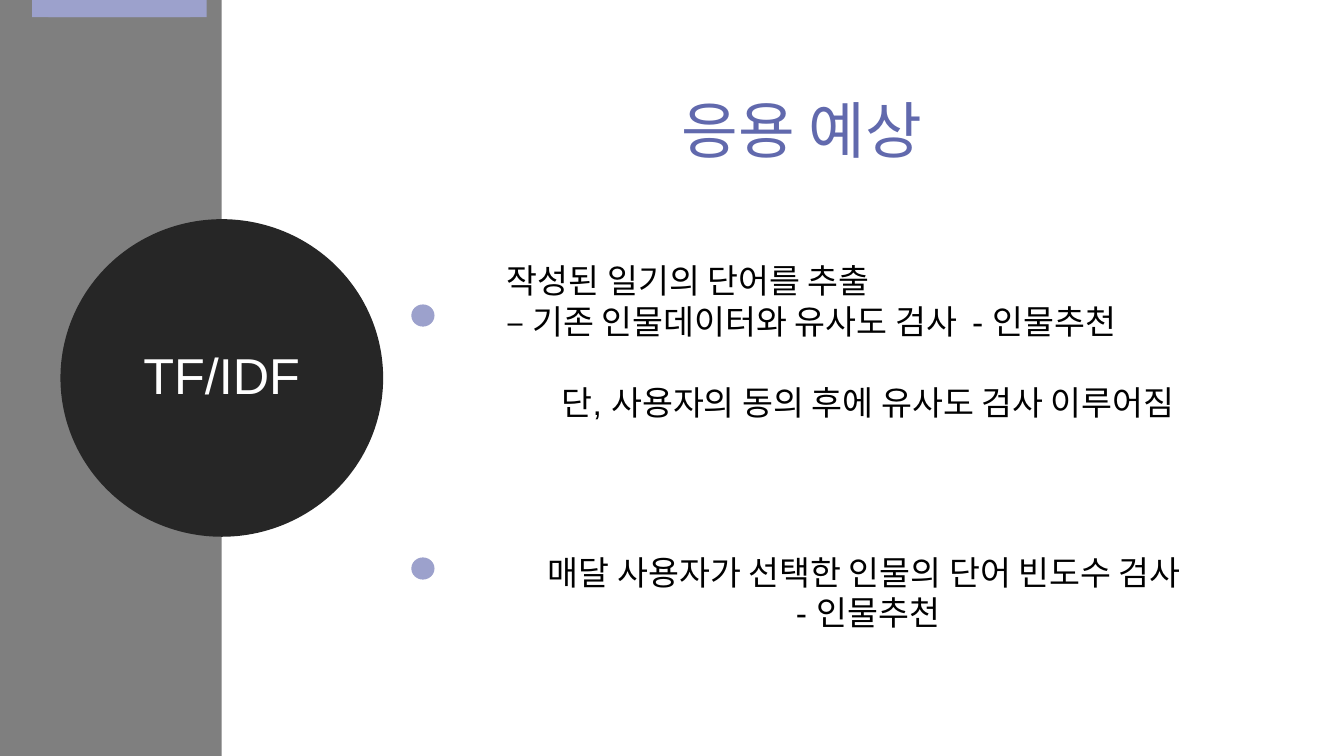
import pptx
import pptx.util
import pptx.dml.color
import pptx.enum.shapes
import pptx.enum.text
import lxml.etree

Inches, Pt = pptx.util.Inches, pptx.util.Pt
RGBColor = pptx.dml.color.RGBColor
Shape = pptx.enum.shapes.MSO_SHAPE
Align = pptx.enum.text.PP_ALIGN

WIDTH, HEIGHT = 13.33, 7.5
GREY = RGBColor(0x7F, 0x7F, 0x7F)
CHARCOAL = RGBColor(0x26, 0x26, 0x26)
LAVENDER = RGBColor(0x9C, 0xA1, 0xCC)
INDIGO = RGBColor(0x61, 0x69, 0xAD)
WHITE = RGBColor(0xFF, 0xFF, 0xFF)
BLACK = RGBColor(0, 0, 0)
LATIN, KOREAN = "Arial", "Noto Sans CJK KR"
LINE_RATIO = 1.21
BODY_SIZE = 24


def add_block(page, kind, box, color):
    shape = page.shapes.add_shape(kind, *map(Inches, box))
    shape.shadow.inherit = False
    shape.fill.solid()
    shape.fill.fore_color.rgb = color
    shape.line.fill.background()
    return shape


def style_para(para, size, color, align, latin=LATIN):
    """Format a paragraph, with the Korean font for its East Asian letters."""
    para.alignment = align
    for span in para.runs:
        font = span.font
        font.size, font.name, font.color.rgb = Pt(size), latin, color
        tag = pptx.oxml.ns.qn("a:ea")
        east_asian = lxml.etree.Element(tag, typeface=KOREAN)
        font._element.find(pptx.oxml.ns.qn("a:latin")).addnext(east_asian)


def add_text(page, box, lines, size, color, latin=LATIN, wrap=True):
    """Write lines given as (text, alignment, blank lines before)."""
    frame = page.shapes.add_textbox(*map(Inches, box)).text_frame
    frame.word_wrap = wrap
    frame.text = "\n".join(text for text, _, _ in lines)
    for para, (_, align, gap) in zip(frame.paragraphs, lines):
        style_para(para, size, color, align, latin)
        para.line_spacing = Pt(size * LINE_RATIO)
        para.space_before = Pt(gap * size * LINE_RATIO)


def add_sidebar(page, box, topic):
    """Grey rail with a tab on top and the topic disc centred on its right edge."""
    left, top, width, height = box
    add_block(page, Shape.RECTANGLE, box, GREY)

    disc_width, disc_height = 3.01, 2.96
    disc = add_block(page, Shape.OVAL, (left + width - disc_width / 2,
                                        top + (height - disc_height) / 2,
                                        disc_width, disc_height), CHARCOAL)
    disc.line.color.rgb = CHARCOAL
    disc.line.width = Pt(13.75)
    frame = disc.text_frame
    frame.text = topic
    frame.vertical_anchor = pptx.enum.text.MSO_ANCHOR.MIDDLE
    para = frame.paragraphs[0]
    style_para(para, 36, WHITE, Align.CENTER)
    para.line_spacing = 0.9
    para.space_after = Pt(6)

    for inset in (0.48, 0.32):
        add_block(page, Shape.RECTANGLE, (left + inset, top, 1.57, 0.17), LAVENDER)


def add_point(page, box, dot_drop, lines):
    """Text in the box, with a dot to its left lowered by dot_drop."""
    left, top, _, _ = box
    add_text(page, box, lines, BODY_SIZE, BLACK)
    add_block(page, Shape.OVAL, (left - 0.85, top + dot_drop, 0.23, 0.22), LAVENDER)


def main():
    deck = pptx.Presentation()
    deck.slide_width, deck.slide_height = Inches(WIDTH), Inches(HEIGHT)
    page = deck.slides.add_slide(deck.slide_layouts[6])

    add_sidebar(page, (0, 0, 2.2, HEIGHT), "TF/IDF")
    add_text(page, (6.51, 0.86, 2.89, 0.84), [("응용 예상", Align.CENTER, 0)],
             44, INDIGO, latin=KOREAN, wrap=False)

    text_left, text_width = 4.93, 7.36
    add_point(page, (text_left, 2.53, text_width, 1.72), 0.49, [
        ("작성된 일기의 단어를 추출 ", Align.JUSTIFY, 0),
        ("– 기존 인물데이터와 유사도 검사  - 인물추천", Align.JUSTIFY, 0),
        ("단, 사용자의 동의 후에 유사도 검사 이루어짐", Align.CENTER, 1),
    ])
    add_point(page, (text_left, 5.42, text_width, 0.91), 0.11, [
        ("매달 사용자가 선택한 인물의 단어 빈도수 검사 ", Align.CENTER, 0),
        ("- 인물추천", Align.CENTER, 0),
    ])
    deck.save("out.pptx")


if __name__ == "__main__":
    main()
